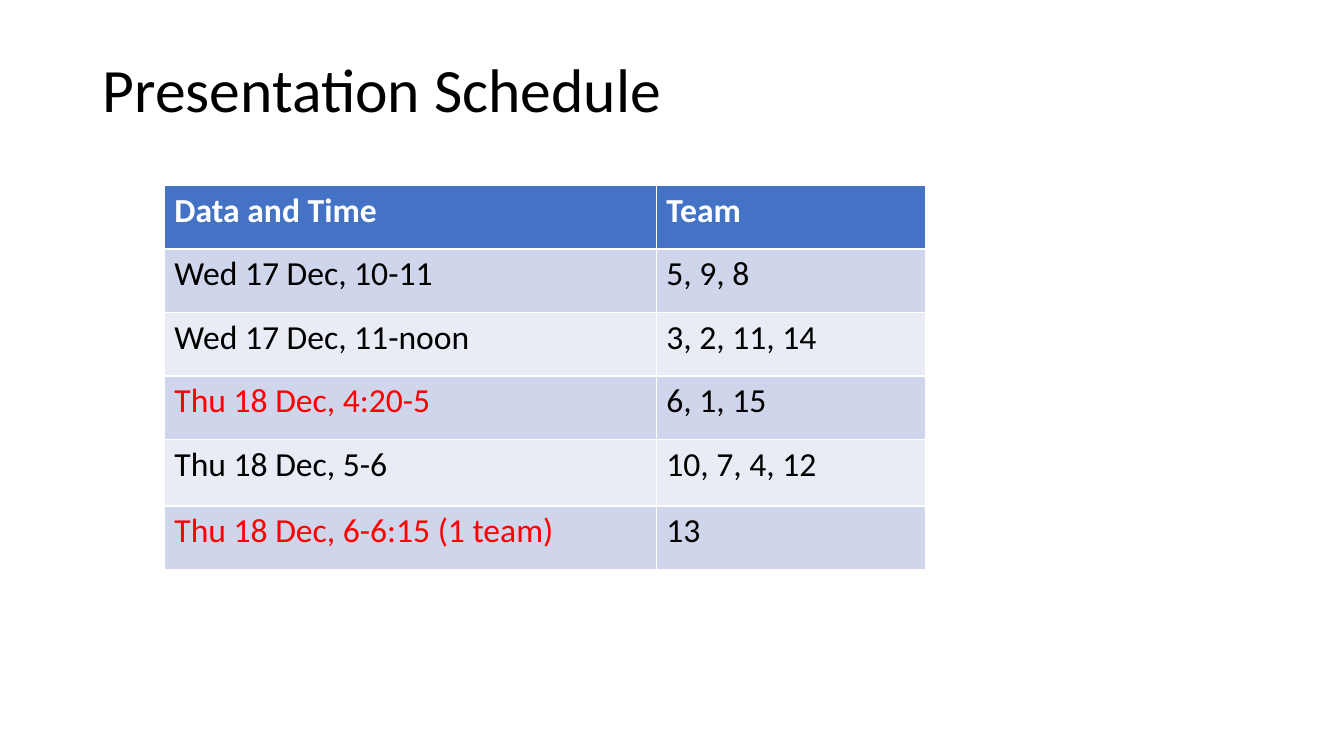
from pptx import Presentation
from pptx.dml.color import RGBColor
from pptx.enum.text import MSO_ANCHOR
from pptx.util import Inches, Pt

MIDDLE = MSO_ANCHOR.MIDDLE
BLACK = RGBColor(0x00, 0x00, 0x00)
WHITE = RGBColor(0xFF, 0xFF, 0xFF)
RED = RGBColor(0xFF, 0x00, 0x00)
HEADER_BLUE = RGBColor(0x44, 0x72, 0xC4)
BANDS = (RGBColor(0xCF, 0xD5, 0xEA), RGBColor(0xE9, 0xEB, 0xF5))

HEADINGS = ("Data and Time", "Team")
SESSIONS = (
    ("Wed 17 Dec, 10-11", "5, 9, 8", BLACK),
    ("Wed 17 Dec, 11-noon", "3, 2, 11, 14", BLACK),
    ("Thu 18 Dec, 4:20-5", "6, 1, 15", RED),
    ("Thu 18 Dec, 5-6", "10, 7, 4, 12", BLACK),
    ("Thu 18 Dec, 6-6:15 (1 team)", "13", RED),
)
COLUMN_WIDTHS = (4.88, 2.67)
ROW_HEIGHTS = (0.63, 0.63, 0.63, 0.63, 0.66, 0.63)


class SchedulePage:
    """Draws the elements of one slide in a shared style."""

    font_name = "Calibri"

    def __init__(self, page):
        self.page = page

    def style_text(self, para, text, size, color, bold=False):
        para.text = text
        font = para.font
        font.name = self.font_name
        font.size = Pt(size)
        font.bold = bold
        font.color.rgb = color

    def title(self, text, left, top, width, height):
        box = self.page.shapes.add_textbox(
            Inches(left), Inches(top), Inches(width), Inches(height))
        frame = box.text_frame
        frame.word_wrap = True
        frame.vertical_anchor = MIDDLE
        para = frame.paragraphs[0]
        para.line_spacing = 0.9
        self.style_text(para, text, 44, BLACK)

    def cell(self, cell, text, fill, color, bold=False):
        cell.fill.solid()
        cell.fill.fore_color.rgb = fill
        self.style_text(cell.text_frame.paragraphs[0], text, 24, color, bold)

    def schedule(self, left, top):
        table = self.page.shapes.add_table(
            len(ROW_HEIGHTS), len(COLUMN_WIDTHS), Inches(left), Inches(top),
            Inches(sum(COLUMN_WIDTHS)), Inches(sum(ROW_HEIGHTS))).table
        for column, width in zip(table.columns, COLUMN_WIDTHS):
            column.width = Inches(width)
        for row, height in zip(table.rows, ROW_HEIGHTS):
            row.height = Inches(height)
        for index, heading in enumerate(HEADINGS):
            self.cell(table.cell(0, index), heading, HEADER_BLUE, WHITE, True)
        for index, (time, teams, time_color) in enumerate(SESSIONS):
            band = BANDS[index % 2]
            self.cell(table.cell(index + 1, 0), time, band, time_color)
            self.cell(table.cell(index + 1, 1), teams, band, BLACK)


def main():
    deck = Presentation()
    deck.slide_width = Inches(13.33)
    deck.slide_height = Inches(7.5)
    page = SchedulePage(deck.slides.add_slide(deck.slide_layouts[6]))
    page.title("Presentation Schedule", 0.92, 0.4, 11.5, 1.03)
    page.schedule(1.63, 1.84)
    deck.save("out.pptx")


if __name__ == "__main__":
    main()
